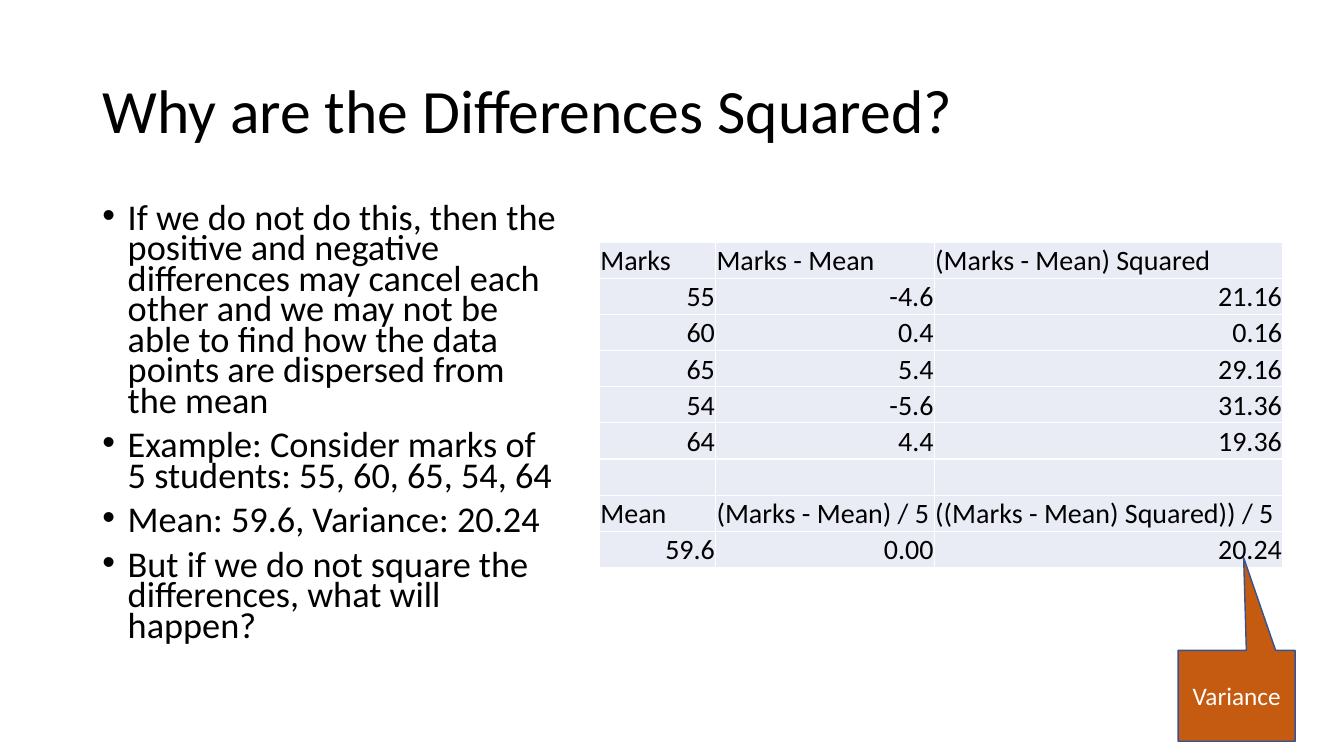
from dataclasses import dataclass

from lxml.etree import SubElement
from pptx import Presentation
from pptx.dml.color import RGBColor
from pptx.enum.shapes import MSO_SHAPE as Shape
from pptx.enum.text import MSO_ANCHOR as Anchor, PP_ALIGN as Align
from pptx.oxml.ns import qn
from pptx.util import Cm, Pt


@dataclass(frozen=True)
class Theme:
    font: str = "Calibri"
    text: str = "000000"
    white: str = "FFFFFF"
    cell: str = "E9EBF5"
    callout: str = "C55A11"
    outline: str = "325491"
    title_size: float = 44
    body_size: float = 25.9
    table_size: float = 20
    callout_size: float = 18


@dataclass(frozen=True)
class Box:
    left: float
    top: float
    width: float
    height: float

    def lengths(self):
        return [Cm(n) for n in (self.left, self.top, self.width, self.height)]


THEME = Theme()
TITLE = "Why are the Differences Squared?"
POINTS = [
    "If we do not do this, then the positive and negative differences may "
    "cancel each other and we may not be able to find how the data points "
    "are dispersed from the mean",
    "Example: Consider marks of 5 students: 55, 60, 65, 54, 64",
    "Mean: 59.6, Variance: 20.24",
    "But if we do not square the differences, what will happen?",
]
MARKS_ROWS = [
    ("Marks", "Marks - Mean", "(Marks - Mean) Squared"),
    ("55", "-4.6", "21.16"),
    ("60", "0.4", "0.16"),
    ("65", "5.4", "29.16"),
    ("54", "-5.6", "31.36"),
    ("64", "4.4", "19.36"),
    ("", "", ""),
    ("Mean", "(Marks - Mean) / 5", "((Marks - Mean) Squared)) / 5"),
    ("59.6", "0.00", "20.24"),
]
HEADING_ROWS = (0, 7)
COLUMN_SHARES = (0.17, 0.32, 0.51)


def apply(target, values):
    for name, value in values.items():
        setattr(target, name, value)


def write(paragraph, text, size, color=THEME.text, **formats):
    apply(paragraph, formats)
    run = paragraph.add_run()
    run.text = text
    apply(run.font, {"name": THEME.font, "size": Pt(size)})
    run.font.color.rgb = RGBColor.from_string(color)


def add_text_frame(slide, box, anchor):
    frame = slide.shapes.add_textbox(*box.lengths()).text_frame
    apply(frame, {"word_wrap": True, "vertical_anchor": anchor})
    return frame


def add_title(slide, box):
    frame = add_text_frame(slide, box, Anchor.MIDDLE)
    write(frame.paragraphs[0], TITLE, THEME.title_size, line_spacing=0.9)


def add_bullet(paragraph):
    properties = paragraph._p.get_or_add_pPr()
    properties.set("marL", str(Cm(0.64)))
    properties.set("indent", str(Cm(-0.64)))
    SubElement(properties, qn("a:buFont"), typeface="Arial")
    SubElement(properties, qn("a:buChar"), char="•")


def add_points(slide, box):
    frame = add_text_frame(slide, box, Anchor.TOP)
    for index, point in enumerate(POINTS):
        paragraph = frame.add_paragraph() if index else frame.paragraphs[0]
        write(paragraph, point, THEME.body_size,
              line_spacing=0.7, space_before=Pt(10))
        add_bullet(paragraph)


def add_cell_borders(cell):
    properties = cell._tc.get_or_add_tcPr()
    for side in ("lnL", "lnR", "lnT", "lnB"):
        line = SubElement(properties, qn(f"a:{side}"), w=str(Pt(1)))
        fill = SubElement(line, qn("a:solidFill"))
        SubElement(fill, qn("a:srgbClr"), val=THEME.white)


def add_marks_table(slide, box):
    table = slide.shapes.add_table(
        len(MARKS_ROWS), len(COLUMN_SHARES), *box.lengths()).table
    apply(table, {"first_row": False, "horz_banding": False})
    for column, share in zip(table.columns, COLUMN_SHARES):
        column.width = Cm(box.width * share)
    for row_index, values in enumerate(MARKS_ROWS):
        table.rows[row_index].height = Cm(box.height / len(MARKS_ROWS))
        align = Align.LEFT if row_index in HEADING_ROWS else Align.RIGHT
        for column_index, value in enumerate(values):
            cell = table.cell(row_index, column_index)
            apply(cell, {
                "margin_left": Cm(0.02), "margin_right": Cm(0.02),
                "margin_top": Cm(0.02), "margin_bottom": 0,
                "vertical_anchor": Anchor.BOTTOM,
            })
            add_cell_borders(cell)
            cell.fill.solid()
            cell.fill.fore_color.rgb = RGBColor.from_string(THEME.cell)
            if value:
                write(cell.text_frame.paragraphs[0], value,
                      THEME.table_size, alignment=align)


def add_variance_callout(slide, box):
    shape = slide.shapes.add_shape(Shape.RECTANGULAR_CALLOUT, *box.lengths())
    shape.shadow.inherit = False
    # Tip of the pointer, as shares of the box measured from its centre
    shape.adjustments[0], shape.adjustments[1] = 0.06, -1.52
    shape.fill.solid()
    shape.fill.fore_color.rgb = RGBColor.from_string(THEME.callout)
    shape.line.color.rgb = RGBColor.from_string(THEME.outline)
    shape.line.width = Pt(1)
    shape.text_frame.vertical_anchor = Anchor.MIDDLE
    write(shape.text_frame.paragraphs[0], "Variance", THEME.callout_size,
          THEME.white, alignment=Align.CENTER)


def main():
    presentation = Presentation()
    apply(presentation, {"slide_width": Cm(33.87), "slide_height": Cm(19.05)})
    slide = presentation.slides.add_slide(presentation.slide_layouts[6])

    # Heading and explanation
    add_title(slide, Box(2.33, 1.01, 29.21, 3.68))
    add_points(slide, Box(2.33, 5.07, 12, 12.09))

    # Worked example and its result
    add_marks_table(slide, Box(15.11, 6.1, 17.22, 8.2))
    add_variance_callout(slide, Box(29.69, 16.39, 2.95, 2.29))

    presentation.save("out.pptx")


if __name__ == "__main__":
    main()
